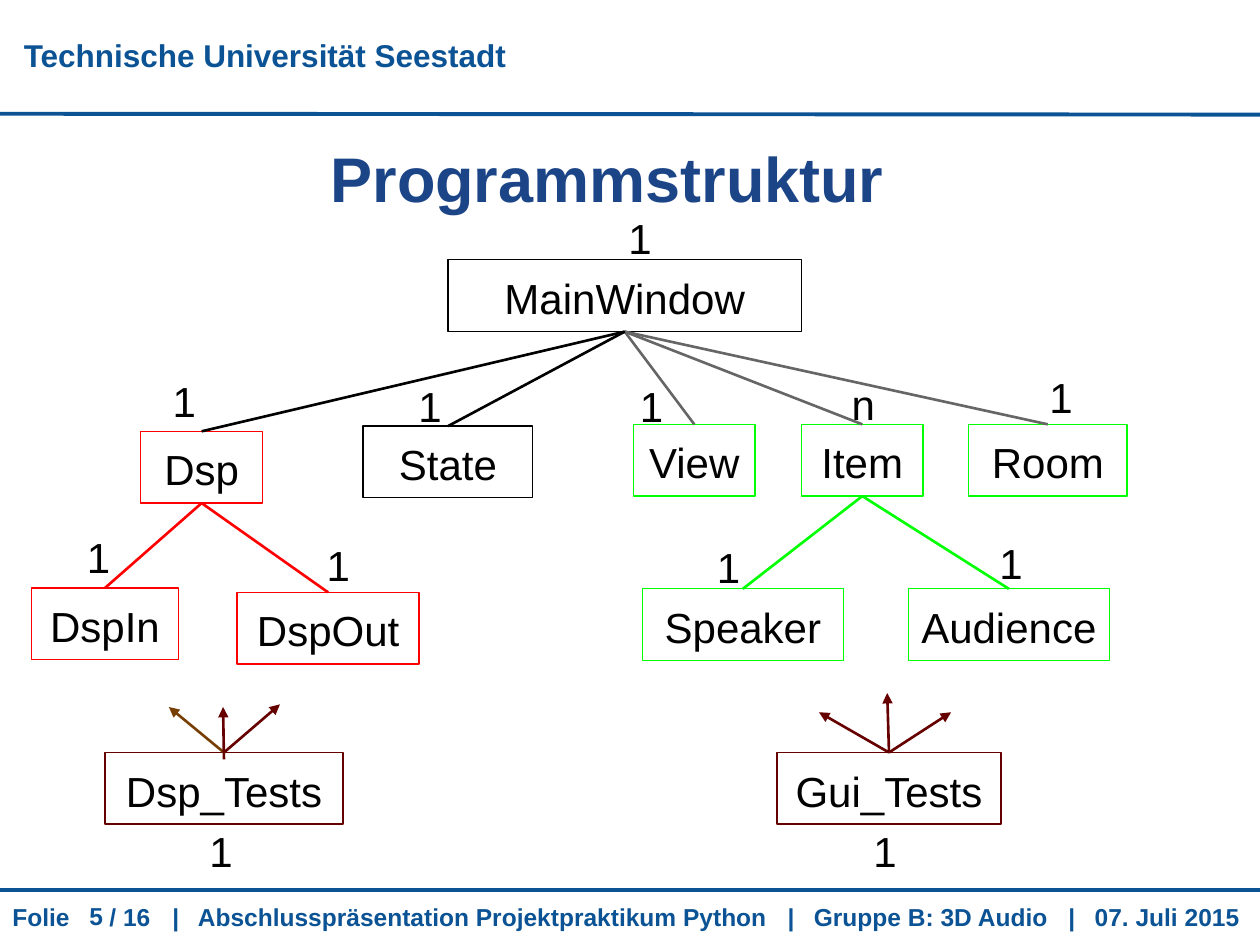
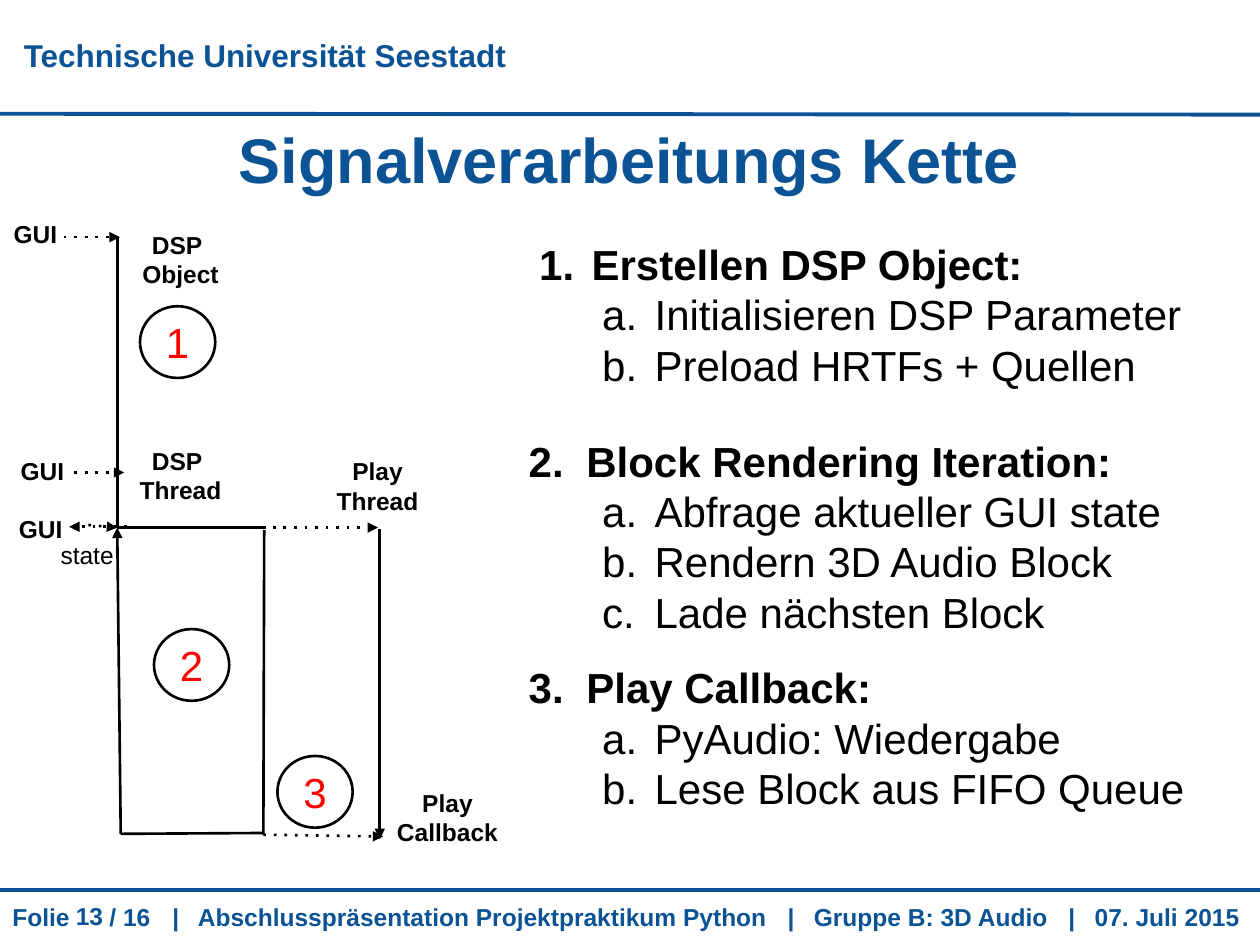
from lxml.etree import SubElement
from pptx import Presentation
from pptx.dml.color import RGBColor
from pptx.enum.shapes import MSO_CONNECTOR, MSO_SHAPE
from pptx.enum.text import MSO_ANCHOR as ANCHOR, PP_ALIGN as ALIGN
from pptx.oxml.ns import qn
from pptx.util import Pt

C = {"blue": "0B5394", "navy": "1C4587", "black": "000000", "white": "FFFFFF",
     "grey": "666666", "green": "00FF00", "red": "FF0000", "maroon": "660000",
     "brown": "783F04"}
FONT = "Arial"
INSET = 7.2
BOX_H = 41


def add_text(s, at, lines, size=24, color="black", bold=False, align=ALIGN.LEFT,
             anchor=ANCHOR.TOP, shape=None, outline=None, width=0.75):
    """Add a text box, or a preset shape with an outline, one paragraph a line."""
    box = [Pt(v) for v in at]
    if shape is None:
        sp = s.shapes.add_textbox(*box)
    else:
        sp = s.shapes.add_shape(shape, *box)
        sp.shadow.inherit = False
        sp.fill.background()
        sp.line.color.rgb = RGBColor.from_string(C[outline])
        sp.line.width = Pt(width)
    tf = sp.text_frame
    tf.word_wrap = True
    tf.vertical_anchor = anchor
    for side in ("left", "top", "right", "bottom"):
        setattr(tf, f"margin_{side}", Pt(INSET))
    for i, line in enumerate(lines):
        p = tf.add_paragraph() if i else tf.paragraphs[0]
        p.alignment = align
        p.line_spacing = Pt(1.2 * size)
        r = p.add_run()
        r.text = line
        for name, value in {"name": FONT, "size": Pt(size), "bold": bold}.items():
            setattr(r.font, name, value)
        r.font.color.rgb = RGBColor.from_string(C[color])
    return tf


def add_line(s, start, end, color="black", width=1.5, arrow=False, dotted=False):
    cx = s.shapes.add_connector(MSO_CONNECTOR.STRAIGHT, *[Pt(v) for v in (*start, *end)])
    cx.line.color.rgb = RGBColor.from_string(C[color])
    cx.line.width = Pt(width)
    spPr = cx._element.spPr
    ln = spPr.find(qn("a:ln"))
    if dotted:
        SubElement(ln, qn("a:prstDash"), val="dot")
    if arrow:
        SubElement(ln, qn("a:tailEnd"), type="triangle")
    SubElement(spPr, qn("a:effectLst"))


prs = Presentation()
prs.slide_width, prs.slide_height = Pt(720), Pt(540)

# Header and footer on both slides
FOOTER = ["Folie", "/ 16", "|", "Abschlusspräsentation Projektpraktikum Python",
          "|", "Gruppe B: 3D Audio", "|", "07. Juli 2015"]
FOOTER_TABS = [55.5, 91.5, 106, 443, 458, 603.5, 618.5]

slides = []
for number in ("5", "13"):
    s = prs.slides.add_slide(prs.slide_layouts[6])
    slides.append(s)
    add_line(s, (-1.5, 508.5), (723, 508.5), "blue", 2.25)
    add_line(s, (-1.5, 65), (723, 65.5), "blue", 2.25)
    add_text(s, (6.5, 11, 300, BOX_H), ["Technische Universität Seestadt"], 18, "blue", True,
             anchor=ANCHOR.MIDDLE, shape=MSO_SHAPE.RECTANGLE, outline="white")
    tf = add_text(s, (0, 508.5, 720, 31.5), ["\t".join(FOOTER)], 14, "blue", True)
    tabs = SubElement(tf.paragraphs[0]._p.get_or_add_pPr(), qn("a:tabLst"))
    for pos in FOOTER_TABS:
        SubElement(tabs, qn("a:tab"), pos=str(Pt(pos)), algn="l")
    add_text(s, (18, 507, 48, 33), [number], 14, "blue", True, ALIGN.RIGHT, ANCHOR.MIDDLE)

# Slide 1: class tree
s = slides[0]
add_text(s, (80.5, 72.5, 543, 58), ["Programmstruktur "], 36, "navy", True, ALIGN.CENTER)

CLASSES = {  # left, top, width, outline
    "MainWindow": (256, 148.5, 202, "black"),
    "Dsp": (80.5, 246.5, 69.5, "red"),
    "State": (207.5, 243.5, 97, "black"),
    "View": (362, 242.5, 69.5, "green"),
    "Item": (458, 242.5, 69.5, "green"),
    "Room": (553.5, 242.5, 90.5, "green"),
    "DspIn": (18, 336, 84, "red"),
    "DspOut": (135.5, 338.5, 104, "red"),
    "Speaker": (367, 336.5, 115, "green"),
    "Audience": (519, 336.5, 115, "green"),
    "Dsp_Tests": (60, 430, 136, "maroon"),
    "Gui_Tests": (444, 430, 128, "maroon"),
}
for name, (x, y, w, color) in CLASSES.items():
    add_text(s, (x, y, w, BOX_H), [name], align=ALIGN.CENTER,
             shape=MSO_SHAPE.RECTANGLE, outline=color)

LINKS = [("MainWindow", "grey", ["View", "Item", "Room"]),
         ("MainWindow", "black", ["Dsp", "State"]),
         ("Item", "green", ["Speaker", "Audience"]),
         ("Dsp", "red", ["DspIn", "DspOut"])]
for parent, color, children in LINKS:
    px, py, pw, _ = CLASSES[parent]
    for child in children:
        x, y, w, _ = CLASSES[child]
        add_line(s, (px + pw / 2, py + BOX_H), (x + w / 2, y), color)

TEST_ARROWS = [((128, 430), (96.5, 404), "brown"),
               ((128, 430), (160, 402.5), "maroon"),
               ((128, 434), (127.5, 404), "maroon"),
               ((508, 430), (468, 407), "maroon"),
               ((508, 430), (507, 396), "maroon"),
               ((508, 430), (543.5, 407), "maroon")]
for start, end, color in TEST_ARROWS:
    add_line(s, start, end, color, arrow=True)

COUNTS = [(352, 114.5, "1"), (91.5, 207.5, "1"), (232, 210, "1"), (358.5, 210, "1"),
          (479.5, 209, "n"), (592.5, 205, "1"), (42.5, 296.5, "1"), (179.5, 301, "1"),
          (402.5, 302.5, "1"), (564, 300, "1"), (112.5, 464.5, "1"), (492, 464.5, "1")]
for x, y, count in COUNTS:
    add_text(s, (x, y, 40, 33), [count])

# Slide 2: signal chain
s = slides[1]
add_text(s, (129.5, 57.5, 524, 65.5), ["Signalverarbeitungs Kette"], 36, "blue", True,
         anchor=ANCHOR.MIDDLE)

FLOW = [  # start, end, arrow, dotted
    ((67, 135.5), (67, 301.5), False, False),
    ((67, 301.5), (152, 301.5), False, False),
    ((150.5, 477), (151, 303), False, False),
    ((69, 476.5), (150.5, 476), False, False),
    ((69, 476.5), (67, 301.5), True, False),
    ((217, 302.5), (217, 479.5), True, False),
    ((150.5, 477), (219, 478), True, True),
    ((150, 301.5), (216, 301.5), True, True),
    ((42.5, 270), (71, 270), True, True),
    ((36.5, 135.5), (68.5, 135.5), True, True),
    ((50.5, 300), (67, 301.5), True, True),
    ((72.5, 301), (39.5, 301), True, True),
]
for start, end, arrow, dotted in FLOW:
    add_line(s, start, end, arrow=arrow, dotted=dotted)

for step, (x, y) in enumerate([(80, 175), (88, 359.5), (158.5, 432)], 1):
    add_text(s, (x, y, 43, BOX_H), [str(step)], color="red", align=ALIGN.CENTER,
             anchor=ANCHOR.MIDDLE, shape=MSO_SHAPE.OVAL, outline="black", width=1.5)

LABELS = [(54.5, 124, ["DSP", " Object"]), (54.5, 247.5, ["DSP", " Thread"]),
          (169, 253.5, ["Play", "Thread"]), (209, 443, ["Play", "Callback"]),
          (-26.5, 118, ["GUI"]), (-22.5, 253.5, ["GUI"]), (-23.5, 286.5, ["GUI"])]
for x, y, lines in LABELS:
    add_text(s, (x, y, 93.5, 20), lines, 14, bold=True, align=ALIGN.CENTER)
add_text(s, (27.5, 301.5, 78.5, 20), ["state"], 14)

STEPS = [  # top, width, height, anchor, bottom inset, heading indent, lines
    (129, 453, 103.5, ANCHOR.TOP, INSET, (36, 30),
     ["Erstellen DSP Object:", "Initialisieren DSP Parameter", "Preload HRTFs + Quellen"]),
    (223, 417, 166.5, ANCHOR.MIDDLE, INSET, (33, 33),
     ["Block Rendering Iteration:", "Abfrage aktueller GUI state",
      "Rendern 3D Audio Block", "Lade nächsten Block"]),
    (380, 471.5, 99.5, ANCHOR.MIDDLE, 24, (33, 33),
     ["Play Callback:", "PyAudio: Wiedergabe", "Lese Block aus FIFO Queue"]),
]
for step, (y, w, h, anchor, bottom, indent, lines) in enumerate(STEPS, 1):
    tf = add_text(s, (295, y, w, h), lines, anchor=anchor)
    tf.margin_bottom = Pt(bottom)
    for i, p in enumerate(tf.paragraphs):
        left, hang = (72, 30) if i else indent
        p.level = 1 if i else 0
        p.runs[0].font.bold = i == 0
        pPr = p._p.get_or_add_pPr()
        pPr.set("marL", str(Pt(left)))
        pPr.set("indent", str(-Pt(hang)))
        num = SubElement(pPr, qn("a:buAutoNum"), type="alphaLcPeriod" if i else "arabicPeriod")
        if i == 0:
            num.set("startAt", str(step))

prs.save("out.pptx")
